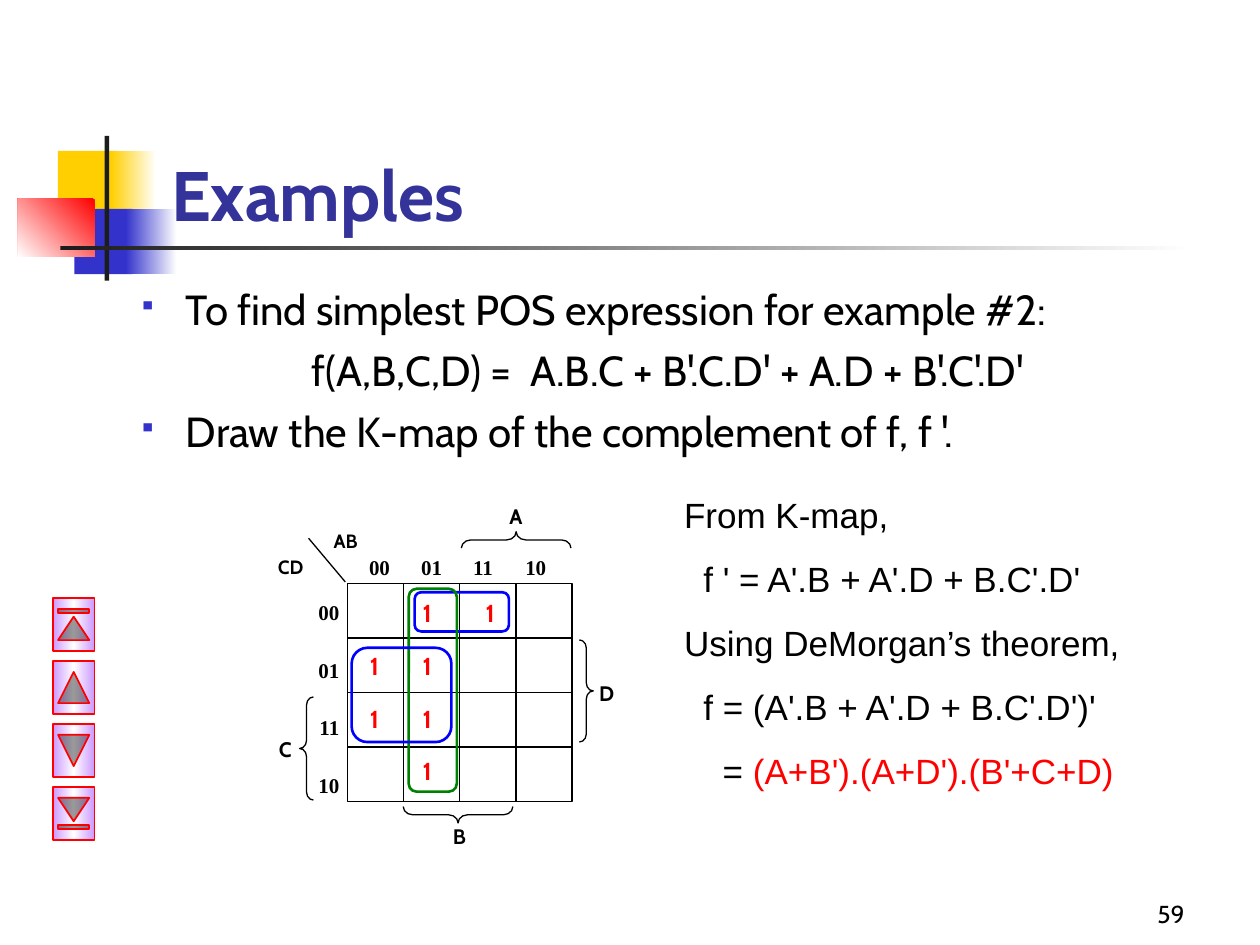
from copy import deepcopy

from lxml import etree
from pptx import Presentation
from pptx import util as u
from pptx.dml.color import RGBColor
from pptx.enum import shapes, text
from pptx.oxml.ns import qn

SHAPE = shapes.MSO_SHAPE
ALIGN = text.PP_ALIGN
ANCHOR = text.MSO_ANCHOR
BLACK, WHITE, RED, BLUE, GREEN = "000000", "FFFFFF", "FF0000", "0000FF", "008000"
YELLOW, INDIGO, CHARCOAL, LILAC = "FFCF01", "3333CC", "1C1C1C", "CC99FF"


def colour(value):
    return RGBColor.from_string(value)


def add_shape(slide, kind, box, fill=None, line=None, width=0.75, angle=0, rotation=0):
    """Add a preset shape; a list of colours as fill makes an even gradient."""
    shape = slide.shapes.add_shape(kind, *map(u.Cm, box))
    shape.shadow.inherit = False
    shape.rotation = rotation
    if isinstance(fill, list):
        shape.fill.gradient()
        shape.fill.gradient_angle = angle
        stop_list = shape._element.spPr.find(".//" + qn("a:gsLst"))
        for _ in fill[2:]:
            stop_list.append(deepcopy(stop_list[-1]))
        for index, (stop, value) in enumerate(zip(shape.fill.gradient_stops, fill)):
            stop.color.rgb = colour(value)
            stop.position = index / (len(fill) - 1)
    elif fill:
        shape.fill.solid()
        shape.fill.fore_color.rgb = colour(fill)
    else:
        shape.fill.background()
    if line:
        shape.line.color.rgb = colour(line)
        shape.line.width = u.Pt(width)
    else:
        shape.line.fill.background()
    return shape


def add_line(slide, x1, y1, x2, y2):
    line = slide.shapes.add_connector(shapes.MSO_CONNECTOR.STRAIGHT, *map(u.Cm, (x1, y1, x2, y2)))
    line.line.color.rgb = colour(BLACK)
    line.line.width = u.Pt(0.75)
    etree.SubElement(line._element.spPr, qn("a:effectLst"))


def add_text(slide, box, lines, size, font="Cabin", value=BLACK, bold=False,
             align=ALIGN.LEFT, anchor=ANCHOR.TOP, space=0):
    """Add a text box; space is the gap in points before each later line."""
    frame = slide.shapes.add_textbox(*map(u.Cm, box)).text_frame
    frame.word_wrap = True
    frame.vertical_anchor = anchor
    for index, line in enumerate(lines):
        paragraph = frame.paragraphs[0] if index == 0 else frame.add_paragraph()
        paragraph.text = line
        paragraph.alignment = align
        if index and space:
            paragraph.space_before = u.Pt(space)
        paragraph.font.size = u.Pt(size)
        paragraph.font.name = font
        paragraph.font.bold = bold
        paragraph.font.color.rgb = colour(value)
    return frame


def set_indent(paragraph, left, first=0):
    properties = paragraph._p.get_or_add_pPr()
    properties.set("marL", str(u.Cm(left)))
    properties.set("indent", str(u.Cm(first)))
    return properties


def insert_before_font(properties, tag, **attributes):
    element = etree.Element(qn(tag), attributes)
    properties.find(qn("a:defRPr")).addprevious(element)
    return element


def set_bullet(paragraph):
    properties = set_indent(paragraph, 0.96, -0.96)
    bullet_colour = insert_before_font(properties, "a:buClr")
    etree.SubElement(bullet_colour, qn("a:srgbClr"), val=INDIGO)
    insert_before_font(properties, "a:buSzPct", val="60000")
    insert_before_font(properties, "a:buChar", char="▪")


def add_ornament(slide, left, top):
    """Coloured blocks with the crossing bars beside the title."""
    blocks = [
        (0.81, 0.3, 1.22, 1.32, YELLOW, 0),
        (1.88, 0.3, 0.91, 1.32, [YELLOW, WHITE], 0),
        (1.14, 1.47, 1.17, 1.32, INDIGO, 0),
        (2.18, 1.47, 1.02, 1.32, [INDIGO, WHITE], 0),
        (0, 1.27, 1.55, 1.17, [RED, WHITE], 225),
        (1.75, 0, 0.09, 2.92, CHARCOAL, 0),
        (0.86, 2.21, 22.86, 0.09, [CHARCOAL, WHITE], 0),
    ]
    for x, y, width, height, fill, angle in blocks:
        add_shape(slide, SHAPE.RECTANGLE, (left + x, top + y, width, height), fill, angle=angle)


def add_body(slide, box):
    frame = add_text(slide, box, [
        "To find simplest POS expression for example #2:",
        "f(A,B,C,D) =  A.B.C + B'.C.D' + A.D + B'.C'.D'",
        "Draw the K-map of the complement of f, f '.",
    ], 24, space=6)
    first, formula, last = frame.paragraphs
    set_bullet(first)
    set_indent(formula, 3.5)
    set_bullet(last)


def add_navigation(slide, left, top):
    """Column of buttons, each turned a quarter so it points up or down."""
    kinds = [SHAPE.ACTION_BUTTON_BEGINNING, SHAPE.ACTION_BUTTON_BACK_OR_PREVIOUS,
             SHAPE.ACTION_BUTTON_FORWARD_OR_NEXT, SHAPE.ACTION_BUTTON_END]
    for index, kind in enumerate(kinds):
        add_shape(slide, kind, (left, top + 1.27 * index, 1.07, 0.84),
                  [LILAC, WHITE, LILAC], RED, 1, angle=270, rotation=90)


def add_kmap(slide, left, top):
    """Karnaugh map; left and top give the corner of its grid."""
    cell_width, cell_height, count = 1.13, 1.1, 4
    width, height = cell_width * count, cell_height * count

    def place(x, y, *size):
        return (left + x, top + y, *size)

    # Grid and corner stroke
    add_shape(slide, SHAPE.RECTANGLE, place(0, 0, width, height), line=BLACK)
    for index in range(1, count):
        x, y = left + index * cell_width, top + index * cell_height
        add_line(slide, x, top, x, top + height)
        add_line(slide, left, y, left + width, y)
    add_line(slide, *place(-0.05, -0.03), *place(-0.79, -0.91))

    # Row and column codes
    add_text(slide, place(-0.91, 0.2, 0.99, 4.55), ["00", "01", "11", "10"], 12,
             "Times New Roman", bold=True, align=ALIGN.RIGHT, space=18.5)
    codes = add_text(slide, place(0.18, -0.71, 4.22, 0.89), ["00\t01\t11\t10"], 12,
                     "Times New Roman", bold=True).paragraphs[0]
    tabs = insert_before_font(codes._p.get_or_add_pPr(), "a:tabLst")
    for index in range(1, count):
        etree.SubElement(tabs, qn("a:tab"), pos=str(u.Cm(1.05 * index)), algn="l")

    # Variable names
    for name, x, y, box_width, size in [
        ("A", 2.97, -1.73, 0.84, 12), ("B", 1.83, 4.72, 0.84, 12),
        ("C", -1.68, 2.97, 0.84, 12), ("D", 4.8, 1.83, 0.84, 12),
        ("AB", -0.69, -1.22, 1.3, 11), ("CD", -1.8, -0.69, 1.3, 11),
    ]:
        add_text(slide, place(x, y, box_width, 0.7), [name], size, bold=True, align=ALIGN.CENTER)

    # Braces that mark where A, B, C and D hold
    for kind, x, y, depth, length, rotation in [
        (SHAPE.LEFT_BRACE, 3.23, -1.98, 0.33, 2.21, 90),
        (SHAPE.LEFT_BRACE, 2.06, 3.56, 0.33, 2.21, 270),
        (SHAPE.LEFT_BRACE, -0.97, 2.29, 0.28, 2.08, 0),
        (SHAPE.RIGHT_BRACE, 4.67, 1.14, 0.28, 2.06, 0),
    ]:
        brace = add_shape(slide, kind, place(x, y, depth, length), line=BLACK, rotation=rotation)
        brace.adjustments[0] = 0.58

    # Ones, by row and column
    column_offsets = [-0.02, 1.04, 2.31]
    for row, column in [(0, 1), (0, 2), (1, 0), (1, 1), (2, 0), (2, 1), (3, 1)]:
        add_text(slide, place(column_offsets[column], 0.18 + 1.06 * row, 1.12, 0.89),
                 ["1"], 14, value=RED, bold=True, align=ALIGN.CENTER)

    # Loops around the prime implicants
    for x, y, loop_width, loop_height, line in [
        (1.35, 0.18, 1.9, 0.79, BLUE), (1.23, 0.11, 0.97, 4.09, GREEN), (0.08, 1.3, 2.01, 1.9, BLUE),
    ]:
        add_shape(slide, SHAPE.ROUNDED_RECTANGLE, place(x, y, loop_width, loop_height),
                  line=line, width=1.5)


def add_derivation(slide, box):
    frame = add_text(slide, box, [
        "From K-map,",
        "f ' = A'.B + A'.D + B.C'.D'",
        "Using DeMorgan’s theorem,",
        "f = (A'.B + A'.D + B.C'.D')'",
        "= ",
    ], 20, "Arial", space=12.5)
    for index, indent in [(1, 0.39), (3, 0.39), (4, 0.78)]:
        set_indent(frame.paragraphs[index], indent)
    result = frame.paragraphs[4].add_run()
    result.text = "(A+B').(A+D').(B'+C+D)"
    result.font.color.rgb = colour(RED)


def main():
    presentation = Presentation()
    presentation.slide_width, presentation.slide_height = u.Cm(25.4), u.Cm(19.05)
    slide = presentation.slides.add_slide(presentation.slide_layouts[6])
    add_ornament(slide, 0.36, 2.74)
    add_text(slide, (3.2, 1.7, 21.64, 3.18), ["Examples"], 40, value="333399", bold=True,
             anchor=ANCHOR.BOTTOM)
    add_body(slide, (2.54, 5.59, 22.23, 4.01))
    add_navigation(slide, 0.95, 12.17)
    add_kmap(slide, 7.01, 11.76)
    add_derivation(slide, (13.54, 9.83, 10.59, 6.25))
    # Page number
    add_text(slide, (18.85, 17.58, 5.28, 1.27), ["59"], 14, align=ALIGN.RIGHT, anchor=ANCHOR.BOTTOM)
    presentation.save("out.pptx")


if __name__ == "__main__":
    main()
